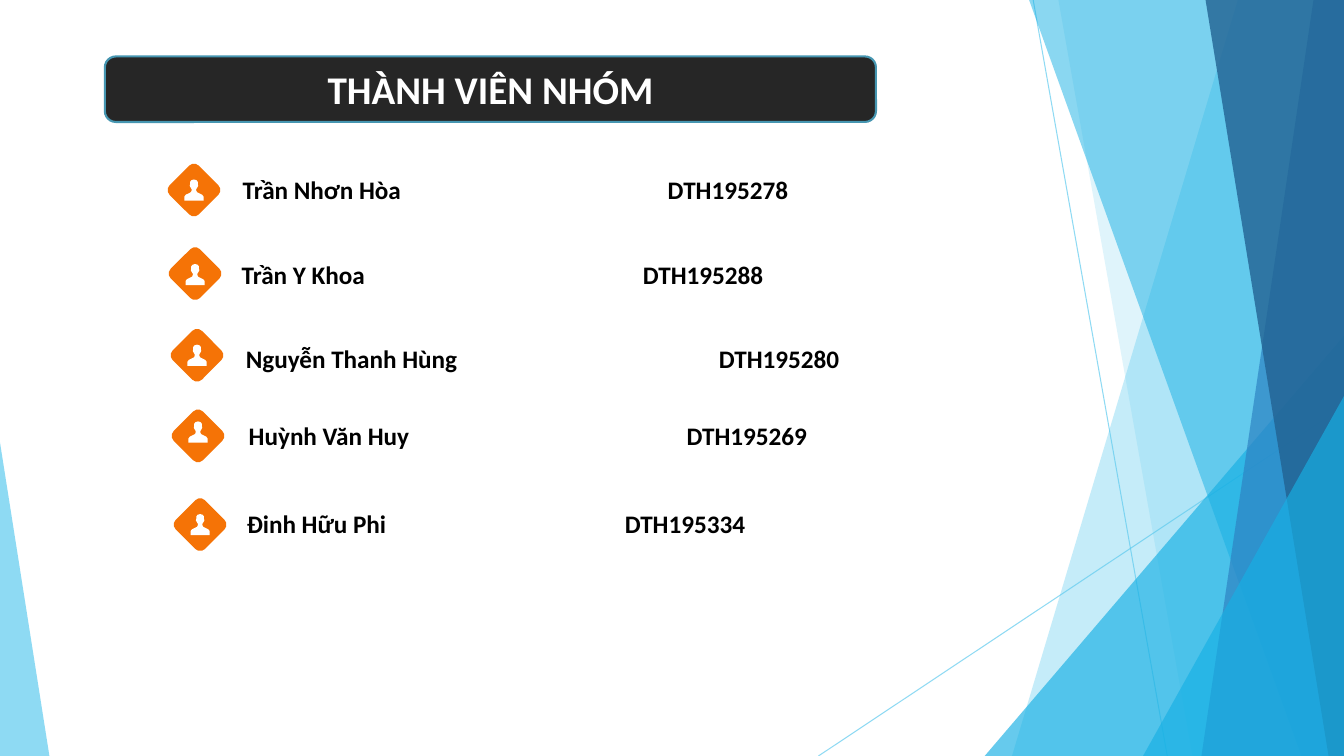
import pptx
import pptx.util
import pptx.dml.color
import pptx.enum.shapes
import pptx.enum.text
import pptx.oxml
import pptx.oxml.ns
from lxml import etree

Pt = pptx.util.Pt
RGBColor = pptx.dml.color.RGBColor
MSO_SHAPE = pptx.enum.shapes.MSO_SHAPE
qn = pptx.oxml.ns.qn

WIDTH, HEIGHT = 960, 540
FONT = "Calibri"

WHITE = RGBColor(0xFF, 0xFF, 0xFF)
BLACK = RGBColor(0x00, 0x00, 0x00)
CHARCOAL = RGBColor(0x26, 0x26, 0x26)
TEAL = RGBColor(0x46, 0x96, 0xB1)
ORANGE = RGBColor(0xF5, 0x73, 0x06)
SKY = RGBColor(0x5F, 0xCB, 0xEF)
CYAN = RGBColor(0x17, 0xB0, 0xE4)
BLUE = RGBColor(0x2E, 0x83, 0xC3)
NAVY = RGBColor(0x22, 0x62, 0x92)

BANNER = (74.9, 40.3, 550.8, 46.8)
DIAMOND_SIZE = 29.5
ICON_UNIT = 0.72
ICON_HALF = [
    (0, 0), (2.5, 0.7), (3.8, 2.4), (3.8, 4.8), (4.2, 6.2), (3.4, 7.8),
    (2.3, 9.6), (2.3, 11), (3, 12.6), (5.8, 14), (8.2, 15.2), (9.5, 17), (9.5, 21),
]

# name, code, diamond left and top, icon top, text left and top, tab
MEMBERS = [
    ("Trần Nhơn Hòa", "DTH195278", 123.8, 121, 128.2, 166.3, 121, 303.6),
    ("Trần Y Khoa", "DTH195288", 124.6, 180.7, 188.6, 165.6, 181.4, 286.5),
    ("Nguyễn Thanh Hùng", "DTH195280", 126, 239, 246.2, 168.5, 241.9, 337.9),
    ("Huỳnh Văn Huy", "DTH195269", 126.7, 296.6, 301, 170.6, 296.6, 312.8),
    ("Đinh Hữu Phi", "DTH195334", 128.2, 360, 367.2, 169.2, 359.3, 270),
]


def set_alpha(sp, percent):
    for clr in sp.element.iter(qn("a:srgbClr")):
        etree.SubElement(clr, qn("a:alpha"), val=str(percent * 1000))


def paint(sp, color, alpha=100):
    sp.shadow.inherit = False
    sp.fill.solid()
    sp.fill.fore_color.rgb = color
    sp.line.fill.background()
    if alpha < 100:
        set_alpha(sp, alpha)
    return sp


def add_preset(slide, kind, box, color, alpha=100):
    sp = slide.shapes.add_shape(kind, *[Pt(v) for v in box])
    return paint(sp, color, alpha)


def add_outline(slide, points, color, alpha=100):
    points = [(Pt(x), Pt(y)) for x, y in points]
    builder = slide.shapes.build_freeform(*points[0], scale=1.0)
    builder.add_line_segments(points[1:], close=True)
    return paint(builder.convert_to_shape(), color, alpha)


def add_strip(slide, top_x, bottom_x, color, alpha):
    corners = [(top_x, 0), (WIDTH, 0), (WIDTH, HEIGHT), (bottom_x, HEIGHT)]
    add_outline(slide, corners, color, alpha)


def add_triangle(slide, left, top, width, apex, color, alpha):
    box = (left, top, width, HEIGHT - top)
    sp = add_preset(slide, MSO_SHAPE.ISOSCELES_TRIANGLE, box, color, alpha)
    sp.adjustments[0] = apex


def add_hairline(slide, *ends):
    line = slide.shapes.add_connector(
        pptx.enum.shapes.MSO_CONNECTOR.STRAIGHT, *[Pt(v) for v in ends])
    line.line.color.rgb = SKY
    line.line.width = Pt(0.75)
    set_alpha(line, 70)
    etree.SubElement(line.element.spPr, qn("a:effectLst"))


def add_run(p, text, size, color):
    r = p.add_run()
    r.text = text
    r.font.name = FONT
    r.font.size = Pt(size)
    r.font.bold = True
    r.font.color.rgb = color


def add_backdrop(slide):
    add_hairline(slide, 738, 0, 833.8, HEIGHT)
    add_hairline(slide, WIDTH, 290.2, 584.6, HEIGHT)
    add_strip(slide, 884.2, 722.9, SKY, 36)
    add_strip(slide, 756, 851.8, SKY, 20)
    add_triangle(slide, 703.4, 239.8, 256.6, 1, CYAN, 66)
    add_strip(slide, 735.1, 929.5, CYAN, 50)
    add_strip(slide, 938.2, 858.2, BLUE, 70)
    add_strip(slide, 861.1, 949, NAVY, 80)
    add_triangle(slide, 816.5, 283, 143.5, 1, CYAN, 66)
    add_triangle(slide, 0, 316.1, 35.3, 0, SKY, 70)


def add_title(slide, text):
    banner = add_preset(slide, MSO_SHAPE.ROUNDED_RECTANGLE, BANNER, CHARCOAL)
    banner.line.color.rgb = TEAL
    banner.line.width = Pt(1.5)
    title = slide.shapes.title
    title.left, title.top, title.width, title.height = [Pt(v) for v in BANNER]
    title.element.getparent().append(title.element)
    tf = title.text_frame
    tf.auto_size = pptx.enum.text.MSO_AUTO_SIZE.NONE
    tf.vertical_anchor = pptx.enum.text.MSO_ANCHOR.MIDDLE
    p = tf.paragraphs[0]
    p.alignment = pptx.enum.text.PP_ALIGN.CENTER
    add_run(p, text, 28, WHITE)


def add_person(slide, center_x, top):
    half = ICON_HALF + [(-x, y) for x, y in reversed(ICON_HALF[1:])]
    points = [(center_x + x * ICON_UNIT, top + y * ICON_UNIT) for x, y in half]
    add_outline(slide, points, WHITE)


def add_member(slide, name, code, left, top, icon_top, text_left, text_top, tab):
    box = (left, top, DIAMOND_SIZE, DIAMOND_SIZE)
    add_preset(slide, MSO_SHAPE.ROUNDED_RECTANGLE, box, ORANGE).rotation = 45
    add_person(slide, left + DIAMOND_SIZE / 2, icon_top)
    sp = slide.shapes.add_textbox(Pt(text_left), Pt(text_top), Pt(504), Pt(28.8))
    tf = sp.text_frame
    tf.word_wrap = True
    p = tf.paragraphs[0]
    p.alignment = pptx.enum.text.PP_ALIGN.LEFT
    tabs = etree.SubElement(p._p.get_or_add_pPr(), qn("a:tabLst"))
    etree.SubElement(tabs, qn("a:tab"), pos=str(Pt(tab)), algn="l")
    add_run(p, name + "\t", 18, BLACK)
    add_run(p, code, 18, BLACK)


def main():
    prs = pptx.Presentation()
    prs.slide_width, prs.slide_height = Pt(WIDTH), Pt(HEIGHT)
    slide = prs.slides.add_slide(prs.slide_layouts[5])
    add_backdrop(slide)
    add_title(slide, "THÀNH VIÊN NHÓM")
    for member in MEMBERS:
        add_member(slide, *member)
    prs.save("out.pptx")


if __name__ == "__main__":
    main()
